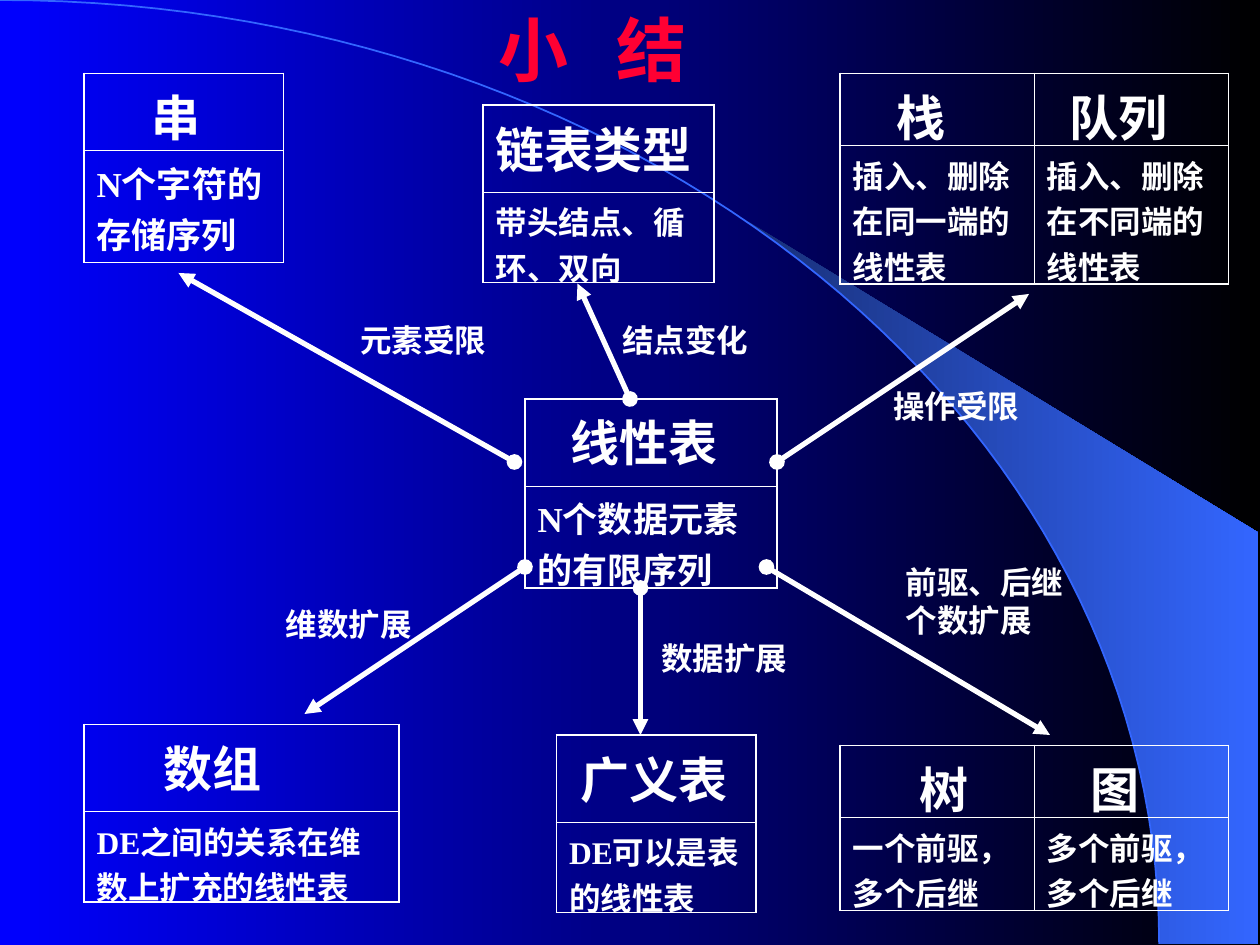
from lxml import etree
from pptx import Presentation
from pptx.dml.color import RGBColor
from pptx.enum.shapes import MSO_CONNECTOR
from pptx.enum.text import MSO_ANCHOR, MSO_AUTO_SIZE
from pptx.oxml.ns import qn
from pptx.util import Inches, Pt

STRAIGHT = MSO_CONNECTOR.STRAIGHT
TOP = MSO_ANCHOR.TOP
GROW = MSO_AUTO_SIZE.SHAPE_TO_FIT_TEXT

THEME = {
    "font": "Times New Roman", "ink": "FFFFFF", "title": "FF0033", "arc": "3366FF",
    "back": ("0000FF", "000000"), "sweep": ("182F76", "3366FF"),
    "title_size": 40, "head_size": 28, "label_size": 18,
    "outer": 1.08, "inner": 0.45, "arrow": 3, "arc_line": 1,
}
WIDTH, HEIGHT = 10, 7.5
GRID = 1 / 12  # inches per grid step

# Tables: left, top, width in grid steps; row heights in inches; body size;
# columns of (heading, heading indent in inches, body)
TABLES = [
    (80, 71, 37, (0.57, 0.74), 18, [("树", 0.53, "一个前驱，多个后继"),
                                    ("图", 0.35, "多个前驱，多个后继")]),
    (80, 7, 37, (0.57, 1.1), 18, [("栈", 0.35, "插入、删除在同一端的线性表"),
                                  ("队列", 0.18, "插入、删除在不同端的线性表")]),
    (50, 38, 24, (0.69, 0.81), 20, [("线性表", 0.26, "N个数据元素的有限序列")]),
    (53, 70, 19, (0.69, 0.72), 18, [("广义表", 0.09, "DE可以是表的线性表")]),
    (8, 7, 19, (0.61, 0.89), 20, [("串", 0.44, "N个字符的存储序列")]),
    (8, 69, 30, (0.69, 0.72), 18, [("数组", 0.53, "DE之间的关系在维数上扩充的线性表")]),
    (46, 10, 22, (0.69, 0.72), 18, [("链表类型", 0, "带头结点、循环、双向")]),
]
# Arrows: start and end in grid steps
ARROWS = [
    ((50, 54), (29, 68)), ((61, 56), (61, 70)), ((73, 54), (100, 70)),
    ((74, 44), (98, 28)), ((60, 38), (55, 27)), ((49, 44), (17, 26)),
]
# Labels: left, top, width, height in inches; lines
LABELS = [
    (7.09, 4.42, 1.45, 0.7, ["前驱、后继", "个数扩展"]),
    (4.84, 2.5, 1.2, 0.4, ["结点变化"]),
    (6.99, 3.02, 1.2, 0.4, ["操作受限"]),
    (2.76, 2.5, 1.2, 0.4, ["元素受限"]),
    (2.17, 4.75, 1.2, 0.4, ["维数扩展"]),
    (5.15, 5.02, 1.2, 0.4, ["数据扩展"]),
]
TITLE = ((3.86, 0, 1.69, 0.77), ("小 ", "结"))
TITLE_SPACING = 9  # points between the two title characters
ARC = ((0, 0), (5.08, 0), (9.2, 3.35), (9.2, 7.49))
SWEEP_START = (5.89, 1.73)
SWEEP_EDGE = [(9.99, 7.49), (9.99, 4.23)]


def rgb(value):
    return RGBColor.from_string(value)


def add_run(p, text, size, color=THEME["ink"]):
    r = p.add_run()
    r.text = text
    fmt = {"name": THEME["font"], "size": Pt(size), "bold": True}
    for key, value in fmt.items():
        setattr(r.font, key, value)
    r.font.color.rgb = rgb(color)
    return r


def add_box(s, at):
    tf = s.shapes.add_textbox(*map(Inches, at)).text_frame
    tf.word_wrap, tf.auto_size = False, GROW
    return tf


def set_gradient(fill, colors):
    fill.gradient()
    fill.gradient_angle = 0
    for stop, color in zip(fill.gradient_stops, colors):
        stop.color.rgb = rgb(color)


def bezier(points, steps=60):
    a, b, c, d = points
    for i in range(steps + 1):
        t = i / steps
        u = 1 - t
        yield tuple(u**3 * w + 3 * u * u * t * x + 3 * u * t * t * y + t**3 * z
                    for w, x, y, z in zip(a, b, c, d))


def add_outline(s, points, close):
    first, *rest = [(Inches(x), Inches(y)) for x, y in points]
    builder = s.shapes.build_freeform(*first)
    builder.add_line_segments(rest, close=close)
    shape = builder.convert_to_shape()
    shape.shadow.inherit = False
    return shape


def set_border(cell, side, width):
    ln = etree.SubElement(cell._tc.get_or_add_tcPr(), qn("a:ln" + side), w=str(Pt(width)))
    fill = etree.SubElement(ln, qn("a:solidFill"))
    etree.SubElement(fill, qn("a:srgbClr"), val=THEME["ink"])


def add_card(s, left, top, width, rows, body_size, columns):
    n = len(columns)
    x, y, w = (Inches(v * GRID) for v in (left, top, width))
    table = s.shapes.add_table(2, n, x, y, w, Inches(sum(rows))).table
    table.first_row = table.horz_banding = False
    for row, height in zip(table.rows, rows):
        row.height = Inches(height)
    for j, (head, indent, body) in enumerate(columns):
        table.columns[j].width = w // n
        parts = [(head, THEME["head_size"], indent), (body, body_size, 0)]
        for i, (text, size, shift) in enumerate(parts):
            cell = table.cell(i, j)
            cell.margin_left, cell.vertical_anchor = Inches(0.1 + shift), TOP
            outside = {"L": j == 0, "R": j == n - 1, "T": i == 0, "B": i == 1}
            for side, outer in outside.items():
                set_border(cell, side, THEME["outer" if outer else "inner"])
            cell.fill.background()
            p = cell.text_frame.paragraphs[0]
            p.space_before = Pt(size / 4)
            add_run(p, text, size)


def add_arrow(s, start, end):
    ends = [Inches(v * GRID) for v in start + end]
    line = s.shapes.add_connector(STRAIGHT, *ends)
    line.line.color.rgb = rgb(THEME["ink"])
    line.line.width = Pt(THEME["arrow"])
    ln = line.line._get_or_add_ln()
    for tag, kind in (("a:headEnd", "oval"), ("a:tailEnd", "triangle")):
        etree.SubElement(ln, qn(tag), type=kind)
    etree.SubElement(line._element.spPr, qn("a:effectLst"))


def main():
    prs = Presentation()
    prs.slide_width, prs.slide_height = Inches(WIDTH), Inches(HEIGHT)
    s = prs.slides.add_slide(prs.slide_layouts[6])

    # Background, sweep and arc
    set_gradient(s.background.fill, THEME["back"])
    arc = list(bezier(ARC))
    edge = [pt for pt in arc if pt[1] > SWEEP_START[1]]
    sweep = add_outline(s, [SWEEP_START] + edge + SWEEP_EDGE, True)
    set_gradient(sweep.fill, THEME["sweep"])
    sweep.line.fill.background()
    curve = add_outline(s, arc, False)
    curve.fill.background()
    curve.line.color.rgb = rgb(THEME["arc"])
    curve.line.width = Pt(THEME["arc_line"])

    # Title
    at, (first, last) = TITLE
    p = add_box(s, at).paragraphs[0]
    r = add_run(p, first, THEME["title_size"], THEME["title"])
    r._r.get_or_add_rPr().set("spc", str(TITLE_SPACING * 100))
    add_run(p, last, THEME["title_size"], THEME["title"])

    # Tables, arrows and labels
    for card in TABLES:
        add_card(s, *card)
    for start, end in ARROWS:
        add_arrow(s, start, end)
    for *at, lines in LABELS:
        tf = add_box(s, at)
        for i, text in enumerate(lines):
            p = tf.add_paragraph() if i else tf.paragraphs[0]
            add_run(p, text, THEME["label_size"])

    prs.save("out.pptx")


if __name__ == "__main__":
    main()
